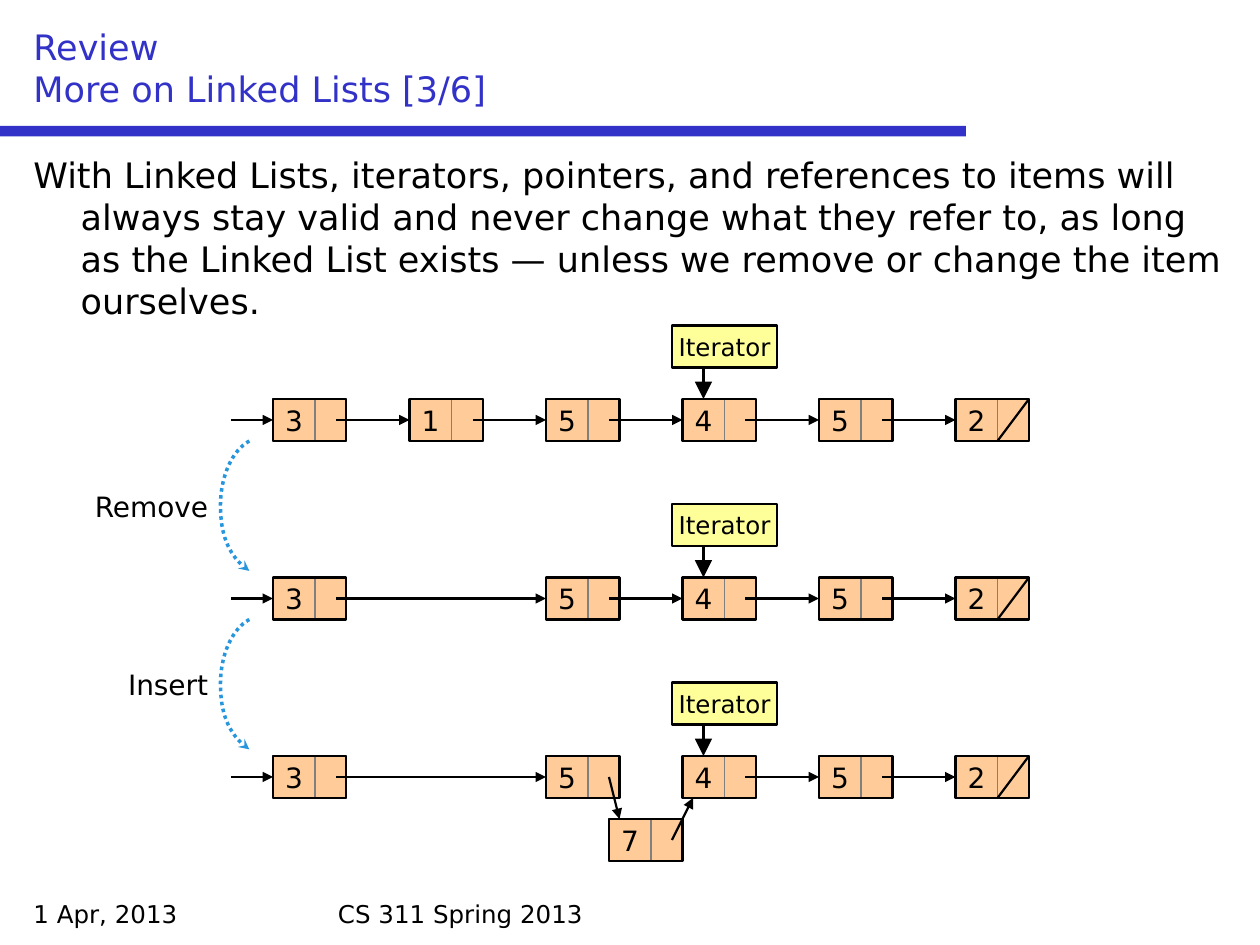
"""Build the linked list review slide with its remove and insert diagrams."""
import pptx
import pptx.dml.color
import pptx.enum.dml
import pptx.enum.shapes
import pptx.enum.text
import pptx.oxml
import pptx.oxml.ns
import pptx.util
from lxml import etree

PX = 9525
FONT = "DejaVu Sans"
COLORS = {
    "blue": "3232C8", "black": "000000", "node": "FFCC99",
    "divider": "808080", "iterator": "FFFF99", "step": "2896DC",
}
ALIGN = pptx.enum.text.PP_ALIGN
ANCHOR = pptx.enum.text.MSO_ANCHOR
RECT = pptx.enum.shapes.MSO_SHAPE.RECTANGLE
STRAIGHT = pptx.enum.shapes.MSO_CONNECTOR.STRAIGHT
CENTERED = {
    "word_wrap": False, "vertical_anchor": ANCHOR.MIDDLE,
    "margin_left": 0, "margin_right": 0, "margin_top": 0, "margin_bottom": 0,
}

LEFT, PITCH = 208, 104
DATA_W, LINK_W, NODE_H = 32, 24, 32
ROW_TOP, ROW_PITCH = 304, 136
ITERATOR_COL = 3
ROWS = ["315452", "3 5452", "3 5452"]
STEPS = ["Remove", "Insert"]
STEP_CURVE = [(177, 39), (168, 59), (168, 81), (168, 104), (177, 123), (190, 131)]
BODY = (
    "With Linked Lists, iterators, pointers, and references to items will "
    "always stay valid and never change what they refer to, as long as the "
    "Linked List exists — unless we remove or change the item ourselves."
)


def rgb(name):
    """Return the named colour."""
    return pptx.dml.color.RGBColor.from_string(COLORS[name])


def set_all(obj, values):
    """Set each attribute in the dict on the object."""
    for key, value in values.items():
        setattr(obj, key, value)


def put_text(sp, text, size, color="black", align=ALIGN.LEFT, frame=None):
    """Write one paragraph into a shape and return it."""
    tf = sp.text_frame
    set_all(tf, frame or {"word_wrap": True})
    p = tf.paragraphs[0]
    p.text = text
    p.alignment = align
    for r in p.runs:
        set_all(r.font, {"name": FONT, "size": pptx.util.Pt(size)})
        r.font.color.rgb = rgb(color)
    return p


def add_text(s, box, text, size, **options):
    """Add a text box and return its paragraph."""
    sp = s.shapes.add_textbox(*(v * PX for v in box))
    return put_text(sp, text, size, **options)


def set_line(line, color, width):
    """Give a line its colour and width."""
    line.color.rgb = rgb(color)
    line.width = pptx.util.Pt(width)


def add_rect(s, box, fill=None, line=None, width=1.25):
    """Add a rectangle with an optional fill and outline."""
    sp = s.shapes.add_shape(RECT, *(v * PX for v in box))
    sp.shadow.inherit = False
    if fill:
        sp.fill.solid()
        sp.fill.fore_color.rgb = rgb(fill)
    else:
        sp.fill.background()
    if line:
        set_line(sp.line, line, width)
    else:
        sp.line.fill.background()
    return sp


def add_head(sp, kind, size="med"):
    """Put an arrowhead at the end of a line shape."""
    ln = sp._element.spPr.get_or_add_ln()
    etree.SubElement(ln, pptx.oxml.ns.qn("a:tailEnd"), type=kind, w=size, len=size)


def add_line(s, start, end, head=True, size="med"):
    """Add a straight line, by default with an arrowhead."""
    sp = s.shapes.add_connector(STRAIGHT, *(v * PX for v in start + end))
    set_line(sp.line, "black", 1.25)
    if head:
        add_head(sp, "triangle", size)
    etree.SubElement(sp._element.spPr, pptx.oxml.ns.qn("a:effectLst"))


def add_node(s, x, y, value):
    """Add a list node with a data cell and a link cell."""
    cell = add_rect(s, (x, y, DATA_W, NODE_H), "node", "divider", 0.75)
    put_text(cell, value, 16, align=ALIGN.CENTER, frame=CENTERED)
    add_rect(s, (x + DATA_W, y, LINK_W, NODE_H), "node", "divider", 0.75)
    add_rect(s, (x, y, DATA_W + LINK_W, NODE_H), line="black")


def add_iterator(s, y):
    """Add the iterator box and its arrow above a row."""
    x = LEFT + ITERATOR_COL * PITCH
    sp = add_rect(s, (x - 8, y - 56, 80, 32), "iterator", "black")
    put_text(sp, "Iterator", 14, align=ALIGN.CENTER, frame=CENTERED)
    add_line(s, (x + 16, y - 24), (x + 16, y), size="lg")


def add_list(s, y, values, gap=None):
    """Add a row of linked nodes, leaving out the link after column gap."""
    cols = [i for i, value in enumerate(values) if value != " "]
    xs = [LEFT + i * PITCH for i in cols]
    mid = y + NODE_H // 2
    for i, x in zip(cols, xs):
        add_node(s, x, y, values[i])
    add_line(s, (LEFT - 32, mid), (LEFT, mid))
    for i, x, target in zip(cols, xs, xs[1:]):
        if i != gap:
            add_line(s, (x + 48, mid), (target, mid))
    x = xs[-1] + DATA_W
    add_line(s, (x, y + NODE_H), (x + LINK_W, y), head=False)
    add_iterator(s, y)


def add_inserted(s, y):
    """Add the inserted node below a row with its two links."""
    x, top = 464, y + 48
    add_node(s, x, top, "7")
    add_line(s, (x, y + 16), (x + 8, top))
    add_line(s, (x + 48, top + 16), (x + 64, y + NODE_H))


def add_step(s, y, label):
    """Add a step label and its dotted curve from one row to the next."""
    fb = s.shapes.build_freeform(190 * PX, (y + 32) * PX)
    fb.add_line_segments([(x * PX, (y + dy) * PX) for x, dy in STEP_CURVE], close=False)
    sp = fb.convert_to_shape()
    path = sp._element.find(".//" + pptx.oxml.ns.qn("a:path"))
    lines = path.findall(pptx.oxml.ns.qn("a:lnTo"))
    for i in range(0, len(lines), 3):
        curve = etree.SubElement(path, pptx.oxml.ns.qn("a:cubicBezTo"))
        for ln in lines[i:i + 3]:
            curve.append(ln[0])
            path.remove(ln)
    sp.shadow.inherit = False
    sp.fill.background()
    set_line(sp.line, "step", 2)
    sp.line.dash_style = pptx.enum.dml.MSO_LINE.ROUND_DOT
    add_head(sp, "stealth")
    add_text(s, (56, y + 64, 112, 35), label, 16, align=ALIGN.RIGHT)


def main():
    """Build and save the slide."""
    prs = pptx.Presentation()
    set_all(prs, {"slide_width": 960 * PX, "slide_height": 720 * PX})
    s = prs.slides.add_slide(prs.slide_layouts[6])
    add_rect(s, (0, 96, 736, 8), "blue")
    add_text(s, (16, 680, 224, 32), "1 Apr, 2013", 14)
    add_text(s, (248, 680, 464, 32), "CS 311 Spring 2013", 14)
    add_text(s, (16, 16, 928, 72), "Review\vMore on Linked Lists [3/6]", 20, color="blue",
             frame={"word_wrap": True, "vertical_anchor": ANCHOR.BOTTOM})
    p = add_text(s, (16, 112, 928, 560), BODY, 20)
    for key, value in {"marL": 36, "indent": -36}.items():
        p._p.get_or_add_pPr().set(key, str(value * PX))
    tops = [ROW_TOP + i * ROW_PITCH for i in range(len(ROWS))]
    for y, values, gap in zip(tops, ROWS, (None, None, 2)):
        add_list(s, y, values, gap)
    add_inserted(s, tops[-1])
    for y, label in zip(tops, STEPS):
        add_step(s, y, label)
    prs.save("out.pptx")


if __name__ == "__main__":
    main()
